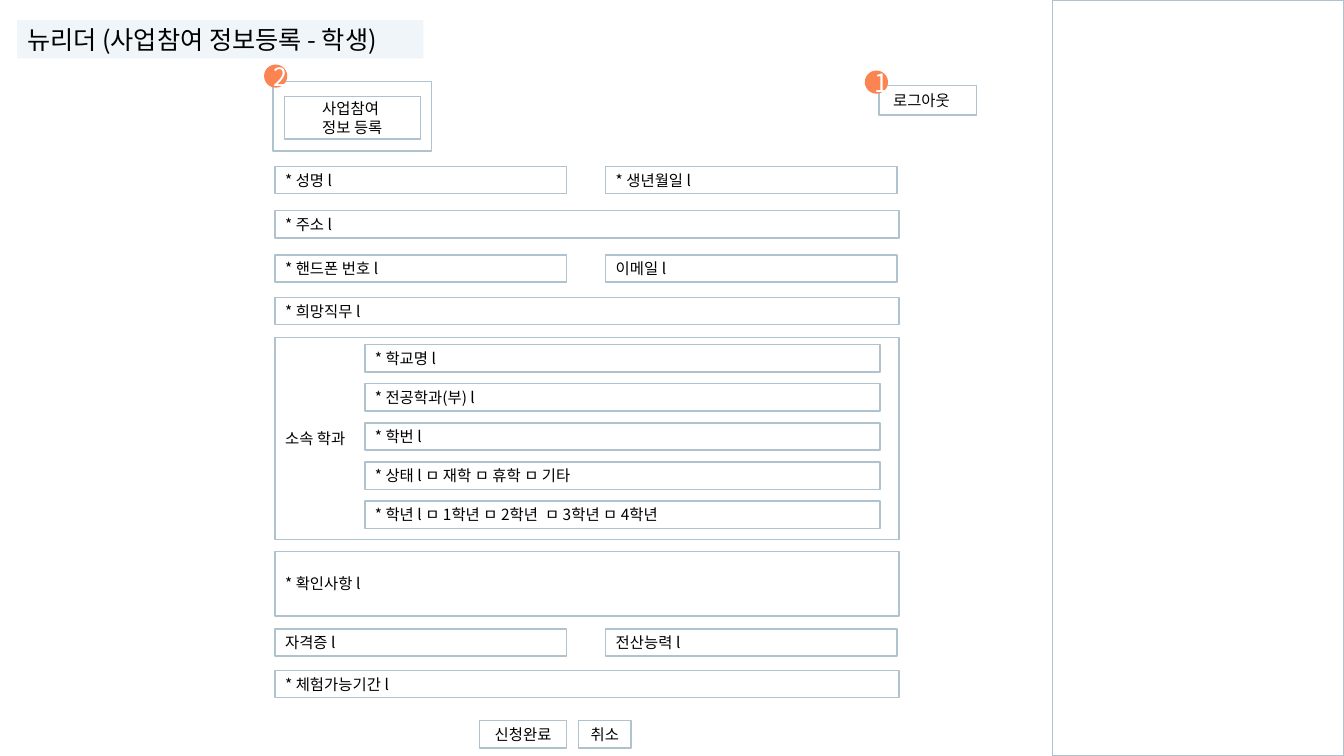
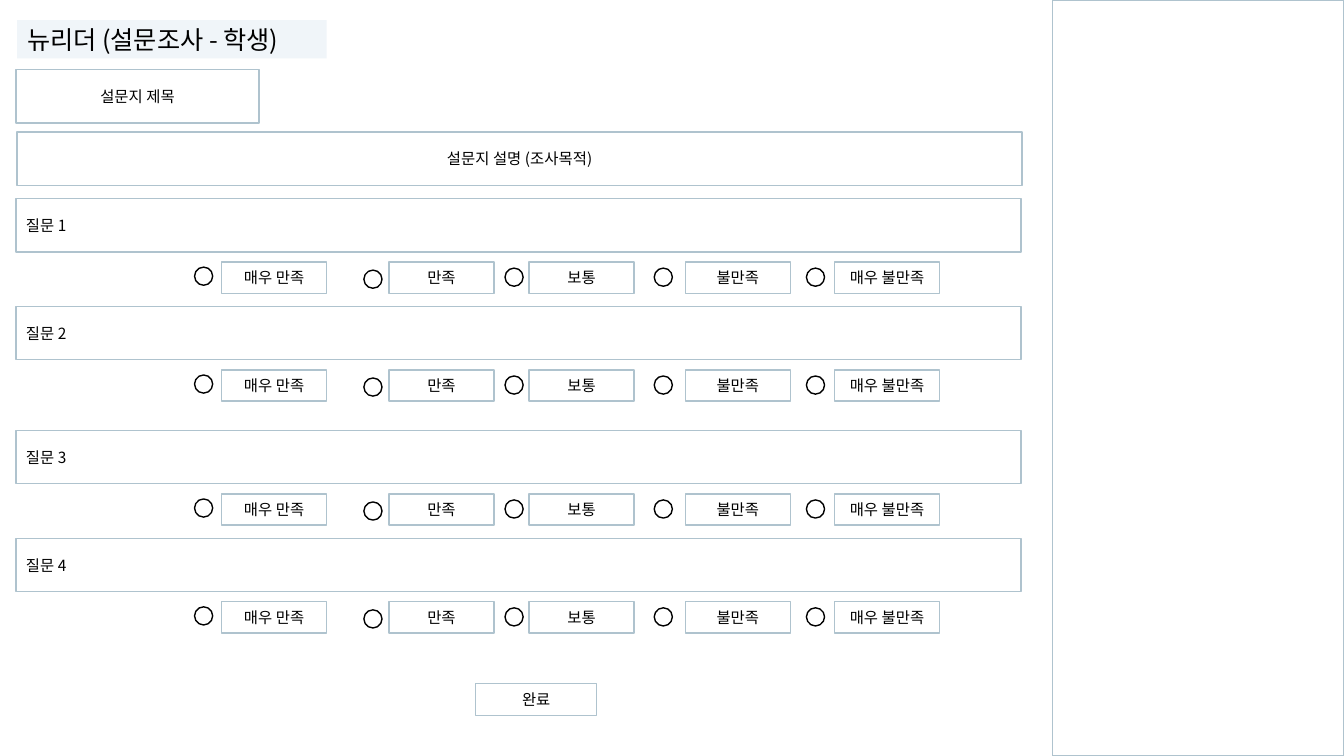
from lxml.etree import SubElement
from pptx import Presentation
from pptx.dml.color import RGBColor
from pptx.enum.shapes import MSO_SHAPE as Shape
from pptx.enum.text import MSO_ANCHOR as Anchor, PP_ALIGN as Align
from pptx.oxml.ns import qn
from pptx.util import Inches, Pt

BLACK = RGBColor(0x00, 0x00, 0x00)
WHITE = RGBColor(0xFF, 0xFF, 0xFF)
OUTLINE = RGBColor(0xAF, 0xC3, 0xCE)
TITLE_BAND = RGBColor(0xF0, 0xF5, 0xF9)
BADGE = RGBColor(0xFC, 0x84, 0x53)

FONT = "Noto Sans CJK KR"
COLUMNS, ROWS = 133.33, 75  # square grid cells, ten to the inch


def cells(count):
    return Inches(count / 10)


class Wireframe:
    """Holds the deck, the shared style and the slide being drawn."""

    def __init__(self):
        self.deck = Presentation()
        self.deck.slide_width = cells(COLUMNS)
        self.deck.slide_height = cells(ROWS)
        self.page = None

    def add_page(self, title, title_width):
        """Start a slide with its title band and the empty notes panel."""
        self.page = self.deck.slides.add_slide(self.deck.slide_layouts[6])
        self.shape(1.7, 2, title_width, 3.8, title, fill=TITLE_BAND, line=None, size=18)
        self.shape(104.4, 0, 28.9, ROWS)

    def shape(self, left, top, width, height, text="", kind=Shape.RECTANGLE,
              fill=None, line=OUTLINE, align=Align.LEFT, size=11, color=BLACK):
        box = self.page.shapes.add_shape(kind, *map(cells, (left, top, width, height)))
        box.shadow.inherit = False
        if fill is None:
            box.fill.background()
        else:
            box.fill.solid()
            box.fill.fore_color.rgb = fill
        if line is None:
            box.line.fill.background()
        else:
            box.line.color.rgb = line
            box.line.width = Pt(1)
        if text:
            self.set_text(box.text_frame, text, align, size, color)
        return box

    def set_text(self, frame, text, align, size, color):
        frame.vertical_anchor = Anchor.MIDDLE
        for index, wording in enumerate(text.split("\n")):
            para = frame.add_paragraph() if index else frame.paragraphs[0]
            para.alignment = align
            span = para.add_run()
            span.text = wording
            for name, value in {"name": FONT, "size": Pt(size)}.items():
                setattr(span.font, name, value)
            span.font.color.rgb = color
            SubElement(span.font._element, qn("a:ea"), typeface=FONT)

    def button(self, left, top, width, height, text):
        return self.shape(left, top, width, height, text, align=Align.CENTER)

    def field(self, left, top, width, text):
        """Draw a one-line input field."""
        return self.shape(left, top, width, 2.7, text)

    def badge(self, left, top, number):
        self.shape(left, top, 2.3, 2.3, number, Shape.OVAL, BADGE, None,
                   Align.CENTER, 18, WHITE)

    def radio(self, left, top):
        self.shape(left, top, 1.8, 1.8, kind=Shape.OVAL, line=BLACK)


def draw_registration(frame):
    frame.add_page("뉴리더 (사업참여 정보등록 - 학생)", 40.3)

    logout = frame.shape(87.2, 8.5, 9.7, 2.9, "로그아웃")
    logout.text_frame.margin_left = cells(1.4)
    frame.badge(85.8, 7, "1")

    frame.shape(27.1, 8.1, 15.7, 6.9)
    frame.button(28.2, 9.6, 13.5, 4.2, "사업참여 \n정보 등록")
    frame.badge(26.2, 6.4, "2")

    left, full, half, second = 27.3, 61.9, 28.9, 60.1
    for top, *labels in (
        (16.5, "* 성명 l", "* 생년월일 l"),
        (20.9, "* 주소 l"),
        (25.3, "* 핸드폰 번호 l", "이메일 l"),
        (29.5, "* 희망직무 l"),
        (62.4, "자격증 l", "전산능력 l"),
        (66.5, "* 체험가능기간 l"),
    ):
        width = half if len(labels) == 2 else full
        for field_left, label in zip((left, second), labels):
            frame.field(field_left, top, width, label)

    frame.shape(left, 33.5, full, 20, "소속 학과")
    for row, label in enumerate((
        "* 학교명 l",
        "* 전공학과(부) l",
        "* 학번 l",
        "* 상태 l ㅁ 재학 ㅁ 휴학 ㅁ 기타",
        "* 학년 l ㅁ 1학년 ㅁ 2학년  ㅁ 3학년 ㅁ 4학년",
    )):
        frame.field(36.2, 34.2 + 3.88 * row, 51.1, label)

    frame.shape(left, 54.7, full, 6.4, "* 확인사항 l")
    frame.button(47.6, 71.5, 8.6, 2.7, "신청완료")
    frame.button(57.4, 71.5, 5.2, 2.7, "취소")


def draw_survey(frame):
    frame.add_page("뉴리더 (설문조사 - 학생)", 30.7)
    left, full, height = 1.6, 99.7, 5.3
    frame.button(left, 6.9, 24.1, height, "설문지 제목")
    frame.button(1.7, 13.1, full, height, "설문지 설명 (조사목적)")

    # radio left, radio drop below the answer's top, answer left, answer
    answers = (
        (19.3, 0.5, 22, "매우 만족"),
        (36.1, 0.8, 38.6, "만족"),
        (50.1, 0.6, 52.5, "보통"),
        (64.9, 0.6, 68, "불만족"),
        (80, 0.6, 82.8, "매우 불만족"),
    )
    for number, top in enumerate((19.7, 30.4, 42.7, 53.4), start=1):
        frame.shape(left, top, full, height, f"질문 {number}")
        answer_top = top + 6.3
        for radio_left, drop, answer_left, answer in answers:
            frame.radio(radio_left, answer_top + drop)
            frame.button(answer_left, answer_top, 10.4, 3.1, answer)

    frame.button(47.2, 67.8, 12, 3.2, "완료")


def main():
    frame = Wireframe()
    draw_registration(frame)
    draw_survey(frame)
    frame.deck.save("out.pptx")


if __name__ == "__main__":
    main()
